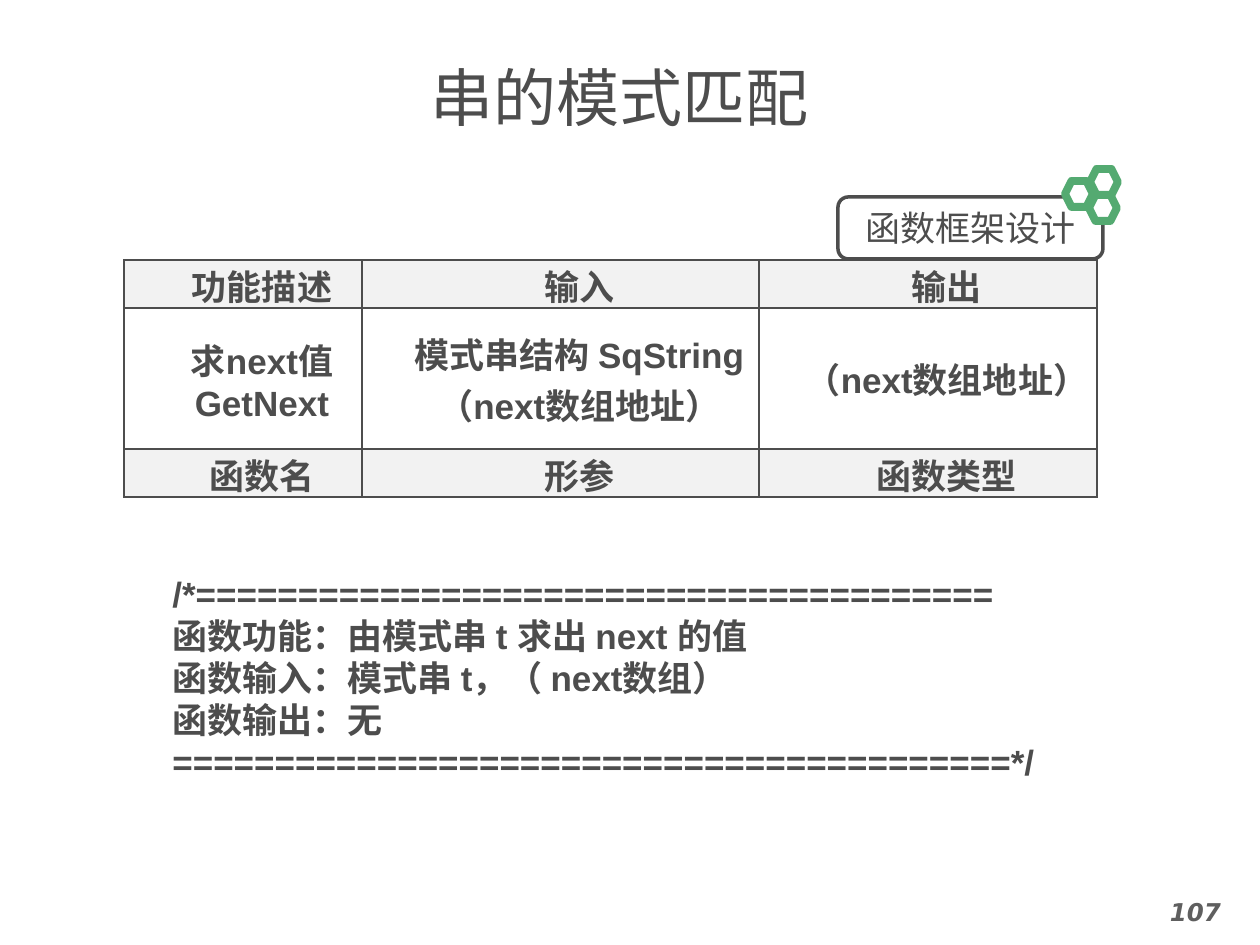
from dataclasses import dataclass

import pptx
import pptx.dml.color
import pptx.enum.shapes
import pptx.enum.text
import pptx.oxml
import pptx.oxml.ns
import pptx.util

SCALE = 914400 / 126  # EMU per px
COLORS = {"ink": "4D4D4D", "number": "5F5F5F", "band": "F2F2F2",
          "white": "FFFFFF", "green": "54AA71"}
CJK_FONT = "Noto Sans CJK SC"
INDENT = 38
CENTER = pptx.enum.text.PP_ALIGN.CENTER
LEFT = pptx.enum.text.PP_ALIGN.LEFT
MIDDLE = pptx.enum.text.MSO_ANCHOR.MIDDLE
SHAPES = pptx.enum.shapes.MSO_SHAPE


@dataclass(frozen=True)
class Box:
    left: int
    top: int
    width: int
    height: int


@dataclass(frozen=True)
class Style:
    size: int
    font: str
    color: str = "ink"
    bold: bool = False
    italic: bool = False
    align: int = CENTER
    indent: int = 0
    spacing: int = 0


TITLE = Style(36, "DejaVu Sans Mono")
NUMBER = Style(14, "DejaVu Sans", "number", bold=True, italic=True)
CELL = Style(20, "Arial", bold=True, indent=INDENT)
COMMENT = Style(20, "Arial", bold=True, align=LEFT, indent=INDENT, spacing=24)
LABEL = Style(20, CJK_FONT)

COLUMN_WIDTHS = [238, 397, 338]
ROW_HEIGHTS = [48, 141, 48]
CELLS = [
    ["功能描述", "输入", "输出"],
    ["求next值\nGetNext", "模式串结构 SqString\n（next数组地址）", "（next数组地址）"],
    ["函数名", "形参", "函数类型"],
]
COMMENT_LINES = [
    "/*" + "=" * 39,
    "函数功能：由模式串 t 求出 next 的值",
    "函数输入：模式串 t，（ next数组）",
    "函数输出：无",
    "=" * 41 + "*/",
]
HEXAGONS = [Box(1089, 195, 28, 26), Box(1090, 169, 28, 26), Box(1065, 181, 28, 26)]


def px(length: int) -> int:
    return round(length * SCALE)


def place(box: Box) -> tuple:
    return px(box.left), px(box.top), px(box.width), px(box.height)


def rgb(name: str) -> pptx.dml.color.RGBColor:
    return pptx.dml.color.RGBColor.from_string(COLORS[name])


def write(frame, text: str, style: Style) -> None:
    frame.text = text
    frame.word_wrap = True
    for para in frame.paragraphs:
        para.alignment = style.align
        if style.indent:
            properties = para._p.get_or_add_pPr()
            properties.set("marL", "0")
            properties.set("indent", str(px(style.indent)))
        if style.spacing:
            para.line_spacing = pptx.util.Pt(style.spacing)
        for span in para.runs:
            font = span.font
            font.size = pptx.util.Pt(style.size)
            font.name = style.font
            font.bold = style.bold
            font.italic = style.italic
            font.color.rgb = rgb(style.color)
            east_asian = pptx.oxml.parse_xml(
                f'<a:ea {pptx.oxml.ns.nsdecls("a")} typeface="{CJK_FONT}"/>')
            span._r.rPr.find(pptx.oxml.ns.qn("a:latin")).addnext(east_asian)


def add_text(page, box: Box, text: str, style: Style, anchor=None) -> None:
    frame = page.shapes.add_textbox(*place(box)).text_frame
    write(frame, text, style)
    if anchor is not None:
        frame.vertical_anchor = anchor


def add_outline(group, kind, box: Box, line: str, width: float, fill: str = ""):
    shape = group.shapes.add_shape(kind, *place(box))
    shape.shadow.inherit = False
    if fill:
        shape.fill.solid()
        shape.fill.fore_color.rgb = rgb(fill)
    else:
        shape.fill.background()
    shape.line.color.rgb = rgb(line)
    shape.line.width = pptx.util.Pt(width)
    return shape


def set_borders(cell) -> None:
    properties = cell._tc.get_or_add_tcPr()
    for position, side in enumerate(("lnL", "lnR", "lnT", "lnB")):
        properties.insert(position, pptx.oxml.parse_xml(
            f'<a:{side} {pptx.oxml.ns.nsdecls("a")} w="12700"><a:solidFill>'
            f'<a:srgbClr val="{COLORS["ink"]}"/></a:solidFill></a:{side}>'))


def add_function_table(page, left: int, top: int) -> None:
    box = Box(left, top, sum(COLUMN_WIDTHS), sum(ROW_HEIGHTS))
    table = page.shapes.add_table(len(ROW_HEIGHTS), len(COLUMN_WIDTHS), *place(box)).table
    table.first_row = False
    table.horz_banding = False
    for column, width in zip(table.columns, COLUMN_WIDTHS):
        column.width = px(width)
    for index, (row, height, texts) in enumerate(zip(table.rows, ROW_HEIGHTS, CELLS)):
        row.height = px(height)
        for cell, text in zip(row.cells, texts):
            write(cell.text_frame, text, CELL)
            cell.vertical_anchor = MIDDLE
            cell.margin_left = cell.margin_right = 0
            cell.margin_top = cell.margin_bottom = 0
            cell.fill.solid()
            cell.fill.fore_color.rgb = rgb("white" if index == 1 else "band")
            set_borders(cell)


def add_badge(page) -> None:
    group = page.shapes.add_group_shape()
    label = add_outline(group, SHAPES.ROUNDED_RECTANGLE, Box(838, 197, 265, 62), "ink", 2)
    write(label.text_frame, "函数框架设计", LABEL)
    label.text_frame.vertical_anchor = MIDDLE
    for box in HEXAGONS:
        add_outline(group, SHAPES.HEXAGON, box, "green", 4.5, "white")


def main() -> None:
    deck = pptx.Presentation()
    deck.slide_width, deck.slide_height = px(1260), px(945)
    page = deck.slides.add_slide(deck.slide_layouts[6])

    # Title and page number
    add_text(page, Box(73, 52, 1092, 88), "串的模式匹配", TITLE, MIDDLE)
    add_text(page, Box(1131, 891, 129, 54), "107", NUMBER)

    # Function design table and its comment block
    add_function_table(page, 124, 260)
    add_text(page, Box(122, 566, 1014, 224), "\n".join(COMMENT_LINES), COMMENT)

    # Badge with hexagons
    add_badge(page)

    deck.save("out.pptx")


if __name__ == "__main__":
    main()
